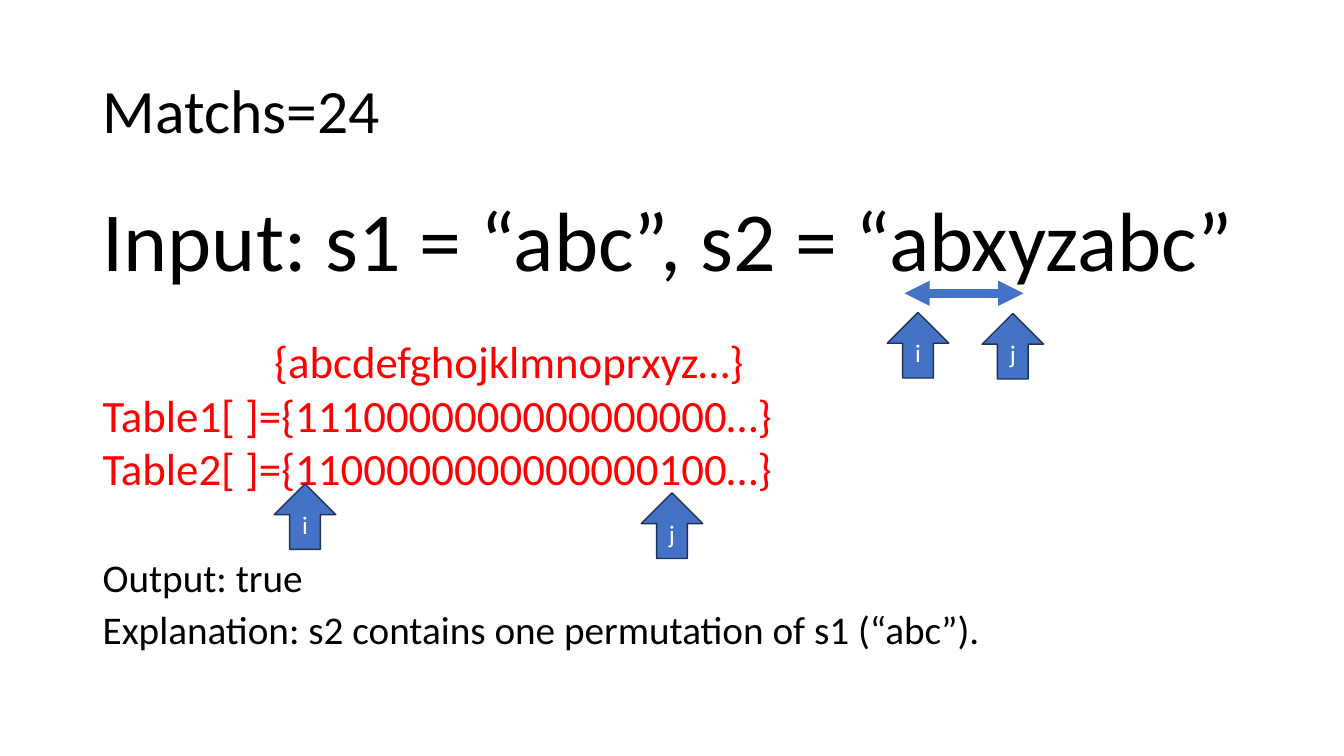
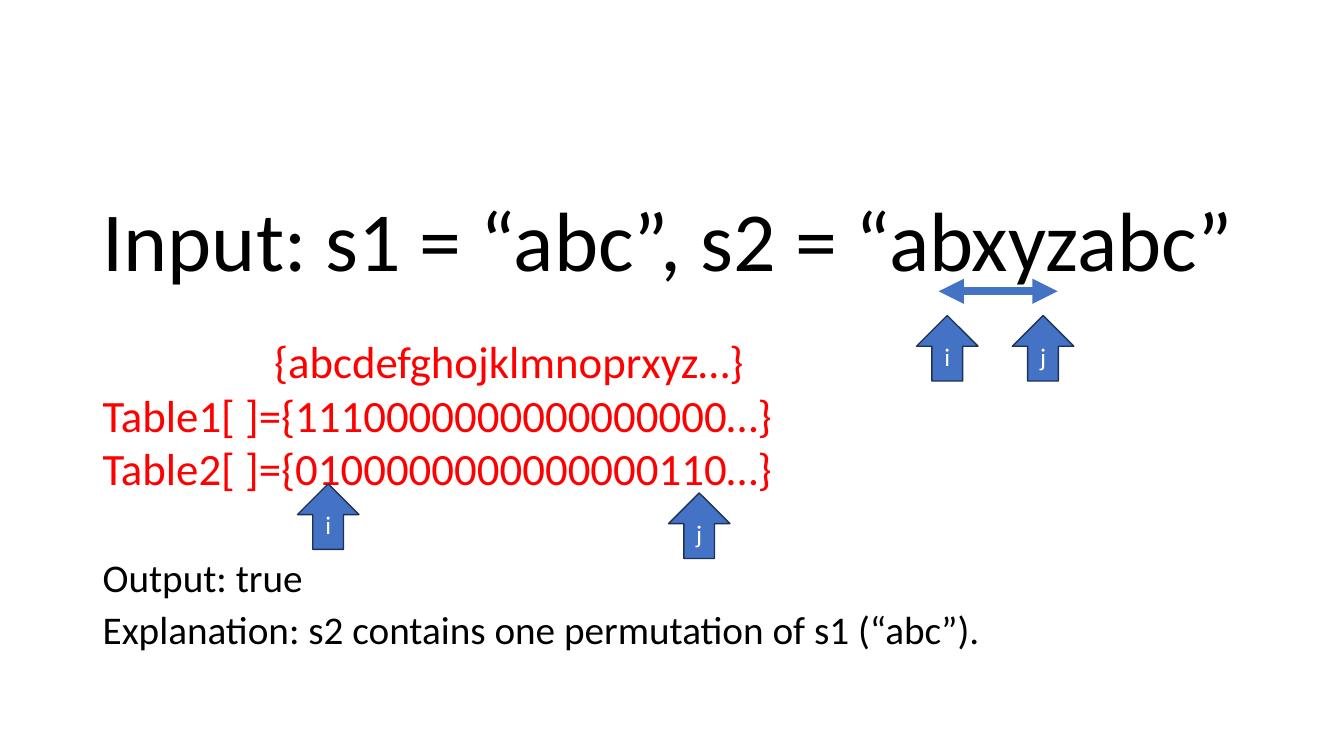
"""Build two slides stepping a sliding window through a permutation search."""
from lxml import etree
from pptx import Presentation
from pptx.dml.color import RGBColor
from pptx.enum.shapes import MSO_CONNECTOR, MSO_SHAPE
from pptx.enum.text import MSO_ANCHOR, PP_ALIGN
from pptx.oxml.ns import qn
from pptx.util import Inches, Pt

UP_ARROW = MSO_SHAPE.UP_ARROW
STRAIGHT = MSO_CONNECTOR.STRAIGHT
TOP, MIDDLE = MSO_ANCHOR.TOP, MSO_ANCHOR.MIDDLE
LEFT, CENTER = PP_ALIGN.LEFT, PP_ALIGN.CENTER

FONT = "Calibri"
COLORS = {"text": "000000", "table": "FF0000", "pointer": "4472C4",
          "outline": "1E3256", "label": "FFFFFF"}

INPUT = "Input: s1 = “abc”, s2 = “abxyzabc”"
RESULT = ["Output: true", "Explanation: s2 contains one permutation of s1 (“abc”)."]
LETTERS = "{abcdefghojklmnoprxyz…}"
TABLE1 = "Table1[ ]={1110000000000000000…}"

STEPS = [
    {"title": "Matchs=24",
     "table2": "Table2[ ]={1100000000000000100…}",
     "window": (8.97, 2.91),
     "pointers": [("i", 8.8, 3.1), ("j", 9.74, 3.11), ("i", 2.72, 4.8), ("j", 6.36, 4.89)]},
    {"title": None,
     "table2": "Table2[ ]={0100000000000000110…}",
     "window": (9.31, 2.89),
     "pointers": [("i", 9.09, 3.13), ("j", 10.04, 3.13), ("i", 2.95, 4.8), ("j", 6.63, 4.89)]},
]

MARGIN, CONTENT_WIDTH = 0.92, 11.5
WINDOW_WIDTH = 1.18
POINTER_WIDTH, POINTER_HEIGHT = 0.61, 0.65
LETTERS_INDENT = 1.7


def rgb(name):
    return RGBColor.from_string(COLORS[name])


def write(shape, lines, size, color="text", align=LEFT, anchor=TOP,
          line_spacing=None, gap=0, first_indent=0):
    frame = shape.text_frame
    frame.word_wrap = True
    frame.vertical_anchor = anchor
    for index, line in enumerate(lines):
        paragraph = frame.paragraphs[0] if index == 0 else frame.add_paragraph()
        paragraph.text = line
        paragraph.alignment = align
        if line_spacing:
            paragraph.line_spacing = line_spacing
        if index and gap:
            paragraph.space_before = Pt(gap)
        if index == 0 and first_indent:
            paragraph._p.get_or_add_pPr().set("marL", str(Inches(first_indent)))
        font = paragraph.font
        font.name, font.size = FONT, Pt(size)
        font.color.rgb = rgb(color)


def add_text(slide, top, height, lines, size, width=CONTENT_WIDTH, **style):
    box = slide.shapes.add_textbox(Inches(MARGIN), Inches(top), Inches(width), Inches(height))
    write(box, lines, size, **style)


def add_window(slide, left, y):
    window = slide.shapes.add_connector(
        STRAIGHT, Inches(left), Inches(y), Inches(left + WINDOW_WIDTH), Inches(y))
    window.line.color.rgb = rgb("pointer")
    window.line.width = Pt(6)
    line = window.line._get_or_add_ln()
    for end in ("a:headEnd", "a:tailEnd"):
        etree.SubElement(line, qn(end)).set("type", "triangle")
    etree.SubElement(window._element.spPr, qn("a:effectLst"))


def add_pointer(slide, label, left, top):
    pointer = slide.shapes.add_shape(
        UP_ARROW, Inches(left), Inches(top), Inches(POINTER_WIDTH), Inches(POINTER_HEIGHT))
    pointer.shadow.inherit = False
    pointer.fill.solid()
    pointer.fill.fore_color.rgb = rgb("pointer")
    pointer.line.color.rgb = rgb("outline")
    pointer.line.width = Pt(1)
    write(pointer, [label], 18, color="label", align=CENTER, anchor=MIDDLE)


def build_step(slide, step):
    if step["title"]:
        add_text(slide, 0.4, 1.45, [step["title"]], 44, anchor=MIDDLE, line_spacing=0.9)
    add_text(slide, 2, 0.95, [INPUT], 60, line_spacing=0.8)
    add_text(slide, 5.53, 0.98, RESULT, 28, line_spacing=0.8, gap=10)
    add_text(slide, 3.26, 1.72, [LETTERS, TABLE1, step["table2"]], 32, width=7.34,
             color="table", first_indent=LETTERS_INDENT)
    add_window(slide, *step["window"])
    for pointer in step["pointers"]:
        add_pointer(slide, *pointer)


def main():
    deck = Presentation()
    deck.slide_width, deck.slide_height = Inches(13.33), Inches(7.5)
    blank = deck.slide_layouts[6]
    for step in STEPS:
        build_step(deck.slides.add_slide(blank), step)
    deck.save("out.pptx")


if __name__ == "__main__":
    main()
